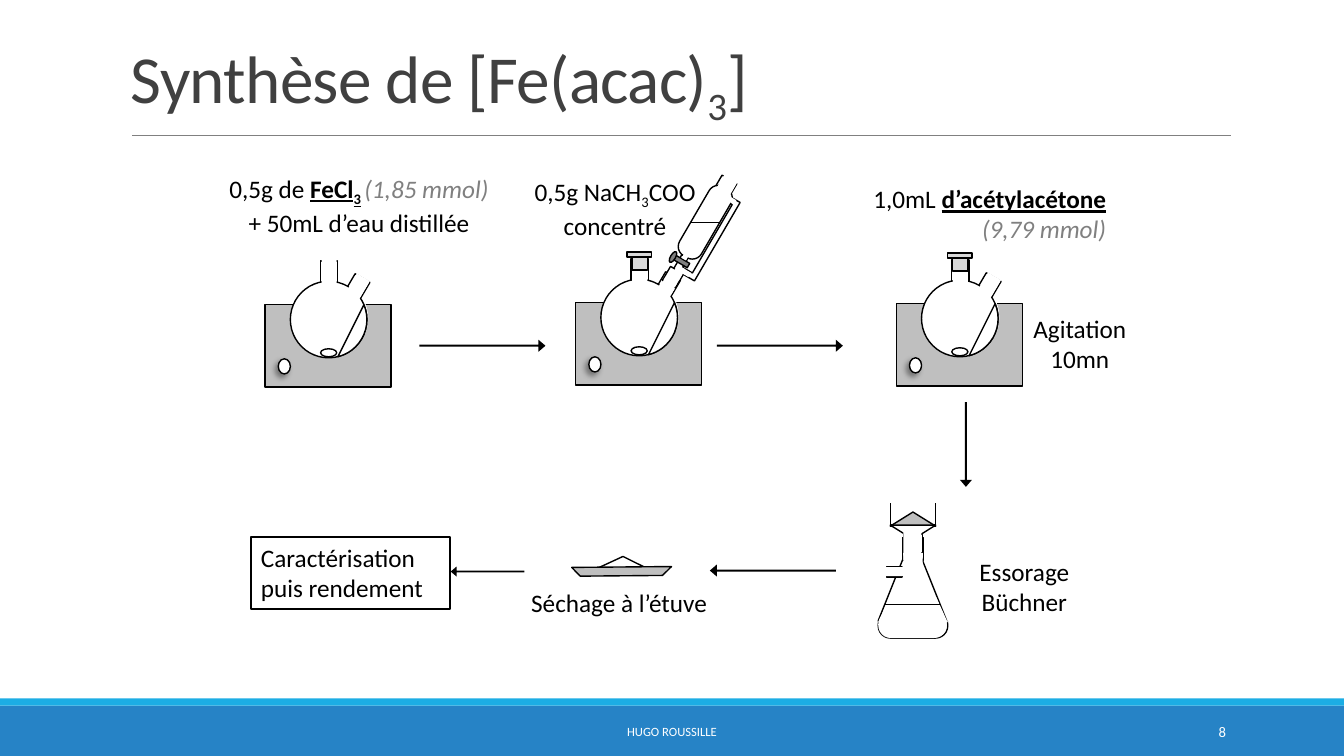
"""Build the slide on the synthesis of [Fe(acac)3]."""
from dataclasses import dataclass
from typing import Any

from lxml.etree import SubElement
from pptx import Presentation
from pptx.dml.color import RGBColor
from pptx.enum.shapes import MSO_CONNECTOR, MSO_SHAPE as Kind
from pptx.enum.text import MSO_ANCHOR as Anchor, MSO_AUTO_SIZE as Fit, PP_ALIGN as Align
from pptx.oxml.ns import qn
from pptx.util import Cm, Pt

COLORS = {
    "white": "FFFFFF", "black": "000000", "title": "404040", "grey": "808080",
    "silver": "BFBFBF", "light": "D9D9D9", "blue": "2683C6", "cyan": "1CADE4",
}
CM_PER_INCH = 2.54


@dataclass(frozen=True)
class Part:
    kind: Any
    left: float
    top: float
    width: float
    height: float
    fill: str = "white"
    line: str = "black"
    turn: float = 0
    adjust: tuple = ()
    weight: float = 1
    shadow: bool = False


@dataclass(frozen=True)
class Rule:
    start: tuple
    end: tuple
    color: str
    weight: float


@dataclass(frozen=True)
class Label:
    left: float
    top: float
    width: float
    height: float
    lines: tuple
    align: Any = Align.CENTER
    size: float = 18
    color: str = "black"
    anchor: Any = Anchor.TOP
    wrap: bool = False
    spacing: float = 1


FORMATS = {
    "plain": {},
    "sub": {"baseline": "-25000"},
    "key": {"bold": True, "underline": True},
    "key_sub": {"bold": True, "underline": True, "baseline": "-25000"},
    "note": {"italic": True, "color": "grey"},
    "title": {"spc": "-50"},
    "title_sub": {"spc": "-50", "baseline": "-25000"},
}
XML_FORMATS = ("baseline", "spc")

FOOTER_BARS = (
    Part(Kind.RECTANGLE, 0, 7, 13.33, 0.5, "blue", ""),
    Part(Kind.RECTANGLE, 0, 6.93, 13.33, 0.07, "cyan", ""),
)
BUCHNER = (
    Part(Kind.RECTANGLE, 8.95, 5.33, 0.21, 0.23),
    Part(Kind.ROUND_2_SAME_RECTANGLE, 8.71, 6.07, 0.69, 0.26, turn=180, adjust=(0.467, 0.5)),
    Part(Kind.RECTANGLE, 8.71, 6.06, 0.69, 0.1, line="white"),
    Part(Kind.ISOSCELES_TRIANGLE, 8.71, 5.31, 0.68, 0.85, ""),
    Part(Kind.RECTANGLE, 8.96, 5.19, 0.19, 0.47, line=""),
    Part(Kind.ROUND_2_SAME_RECTANGLE, 8.71, 6.06, 0.68, 0.27, line="", turn=180, adjust=(0.467, 0.5)),
    Part(Kind.TRAPEZOID, 8.72, 5.93, 0.67, 0.24, line="white", adjust=(0.455,)),
    Rule((8.78, 6), (9.33, 6), "black", 0.75),
    Part(Kind.RECTANGLE, 8.82, 5.6, 0.1, 0.15, turn=270),
    Part(Kind.RECTANGLE, 8.81, 5.52, 0.09, 0.3, line="", turn=270),
    Part(Kind.RECTANGLE, 8.83, 4.94, 0.45, 0.27),
    Part(Kind.ISOSCELES_TRIANGLE, 8.83, 5.08, 0.45, 0.14, "silver"),
    Part(Kind.RECTANGLE, 8.79, 4.88, 0.54, 0.1, line="white"),
    Part(Kind.ISOSCELES_TRIANGLE, 8.83, 5.21, 0.45, 0.14, turn=180),
    Part(Kind.RECTANGLE, 8.96, 5.3, 0.19, 0.18),
    Part(Kind.RECTANGLE, 8.96, 5.25, 0.18, 0.3, line=""),
)
FLASK_ORIGINS = ((2.63, 3.02), (5.71, 3), (8.89, 3.01))
FLASK = (
    Part(Kind.RECTANGLE, 0, 0, 1.25, 0.82, "silver"),
    Part(Kind.OVAL, 0.13, 0.54, 0.12, 0.15, shadow=True),
    Part(Kind.CHORD, 0.25, -0.24, 0.77, 0.76, "light", "white", 292.8, (16.2, 97.42)),
    Part(Kind.RECTANGLE, 0.81, -0.28, 0.17, 0.28, turn=30.4),
    Part(Kind.RECTANGLE, 0.55, -0.43, 0.17, 0.28),
    Part(Kind.OVAL, 0.25, -0.23, 0.76, 0.76),
    Part(Kind.RECTANGLE, 0.82, -0.29, 0.15, 0.31, line="", turn=30.4),
    Part(Kind.RECTANGLE, 0.56, -0.44, 0.15, 0.31, line=""),
    Part(Kind.CHORD, 0.25, -0.23, 0.76, 0.76, turn=292.7, adjust=(26.68, 85.93)),
    Part(Kind.OVAL, 0.55, 0.44, 0.16, 0.08),
)
STOPPER = (
    Part(Kind.RECTANGLE, 0.56, -0.45, 0.15, 0.13, "light"),
    Part(Kind.RECTANGLE, 0.51, -0.5, 0.24, 0.05, "light"),
)
FUNNEL = (
    Part(Kind.FRAME, 6.9, 1.89, 0.23, 0.9, turn=30.2, adjust=(0.25,)),
    Part(Kind.RECTANGLE, 7.11, 1.77, 0.17, 0.16, turn=30.2),
    Part(Kind.RECTANGLE, 6.72, 2.53, 0.07, 0.16, turn=30.2),
    Part(Kind.ROUNDED_RECTANGLE, 6.87, 1.81, 0.25, 0.79, turn=30.2, adjust=(0.419,)),
    Part(Kind.RECTANGLE, 6.6, 2.67, 0.15, 0.16, turn=30.2),
    Part(Kind.RECTANGLE, 6.68, 2.57, 0.16, 0.05, "grey", turn=30.2),
    Part(Kind.OVAL, 6.65, 2.49, 0.05, 0.12, "grey", turn=30.2),
    Part(Kind.RECTANGLE, 6.68, 2.64, 0.09, 0.13, line="", turn=30.2),
    Part(Kind.RECTANGLE, 6.56, 2.77, 0.13, 0.13, line="", turn=30.2),
    Part(Kind.RECTANGLE, 6.72, 2.67, 0.13, 0.05, line="", turn=30.2),
    Part(Kind.RECTANGLE, 7.17, 1.95, 0.13, 0.05, line="", turn=30.2),
    Part(Kind.RECTANGLE, 7.14, 1.76, 0.15, 0.14, line="", turn=30.2),
    Part(Kind.RECTANGLE, 6.75, 2.49, 0.13, 0.05, line="", turn=300.2),
    Rule((7.13, 2.21), (6.85, 2.21), "black", 0.75),
)
DRYING_DISH = (
    Part(Kind.ISOSCELES_TRIANGLE, 5.92, 5.52, 0.5, 0.12, adjust=(0.519,)),
    Part(Kind.DIAGONAL_STRIPE, 5.82, 5.27, 0.69, 0.71, "silver", turn=225.3, adjust=(0.824,)),
)
ARROWS = tuple(
    Part(Kind.RIGHT_ARROW, left, top, width, height, "black", "", turn, (0.167, 0.583))
    for left, top, width, height, turn in (
        (4.16, 3.37, 1.25, 0.12, 0), (7.11, 3.37, 1.25, 0.12, 0), (9.16, 4.35, 0.84, 0.12, 90),
        (7.04, 5.6, 1.25, 0.12, 180), (4.47, 5.62, 0.73, 0.1, 180))
)
RESULT_FRAME = (Part(Kind.RECTANGLE, 2.49, 5.33, 1.97, 0.71, weight=1.25),)
LABELS = (
    Label(1.2, 0.31, 11, 0.92,
          ((("Synthèse de [Fe(acac)", "title"), ("3", "title_sub"), ("]", "title")),),
          Align.LEFT, 48, "title", Anchor.BOTTOM, True, 0.85),
    Label(4.03, 7.06, 5.27, 0.4, ((("HUGO ROUSSILLE", "plain"),),),
          Align.CENTER, 9, "white", Anchor.MIDDLE, True),
    Label(10.83, 7.06, 1.43, 0.4, ((("8", "plain"),),),
          Align.RIGHT, 10.5, "white", Anchor.MIDDLE, True),
    Label(2.15, 1.67, 2.82, 0.71,
          ((("0,5g de ", "plain"), ("FeCl", "key"), ("3", "key_sub"), (" ", "sub"),
            ("(1,85 mmol)", "note")), (("+ 50mL d’eau distillée", "plain"),))),
    Label(5.16, 1.7, 1.88, 0.71,
          ((("0,5g NaCH", "plain"), ("3", "sub"), ("COO", "plain")), (("concentré", "plain"),))),
    Label(8.52, 1.77, 2.55, 0.71,
          ((("1,0mL ", "plain"), ("d’acétylacétone", "key")), (("(9,79 mmol)", "note"),)), Align.RIGHT),
    Label(10.14, 3.06, 1.14, 0.71, ((("Agitation", "plain"),), (("10mn", "plain"),))),
    Label(9.61, 5.47, 1.1, 0.71, ((("Essorage", "plain"),), (("Büchner", "plain"),))),
    Label(5.17, 5.78, 1.99, 0.4, ((("Séchage à l’étuve", "plain"),),), Align.LEFT),
    Label(2.49, 5.33, 1.97, 0.71, ((("Caractérisation puis rendement", "plain"),),), Align.LEFT, wrap=True),
)


def length(inches: float) -> Cm:
    return Cm(inches * CM_PER_INCH)


def rgb(name: str) -> RGBColor:
    return RGBColor.from_string(COLORS[name])


def add_shadow(shape: Any) -> None:
    effects = shape._element.spPr.find(qn("a:effectLst"))
    outer = SubElement(effects, qn("a:outerShdw"), blurRad="50800", dist="38100", dir="8100000")
    color = SubElement(outer, qn("a:srgbClr"), val=COLORS["black"])
    SubElement(color, qn("a:alpha"), val="40000")


def draw_rule(page: Any, rule: Rule) -> None:
    ends = [length(value) for value in (*rule.start, *rule.end)]
    connector = page.shapes.add_connector(MSO_CONNECTOR.STRAIGHT, *ends)
    connector.line.color.rgb = rgb(rule.color)
    connector.line.width = Pt(rule.weight)
    SubElement(connector._element.spPr, qn("a:effectLst"))


def draw_part(page: Any, part: Part, origin: tuple) -> None:
    frame = (part.left + origin[0], part.top + origin[1], part.width, part.height)
    shape = page.shapes.add_shape(part.kind, *map(length, frame))
    shape.shadow.inherit = False
    shape.rotation = part.turn
    for index, value in enumerate(part.adjust):
        shape.adjustments[index] = value
    for target, name in ((shape.fill, part.fill), (shape.line.fill, part.line)):
        if name:
            target.solid()
            target.fore_color.rgb = rgb(name)
        else:
            target.background()
    if part.line:
        shape.line.width = Pt(part.weight)
    if part.shadow:
        add_shadow(shape)


def draw_all(page: Any, items: tuple, origin: tuple = (0, 0)) -> None:
    for item in items:
        if isinstance(item, Rule):
            draw_rule(page, item)
        else:
            draw_part(page, item, origin)


def write_label(page: Any, label: Label) -> None:
    frame = (label.left, label.top, label.width, label.height)
    box = page.shapes.add_textbox(*map(length, frame)).text_frame
    settings = {"word_wrap": label.wrap, "vertical_anchor": label.anchor,
                "auto_size": Fit.NONE if label.wrap else Fit.SHAPE_TO_FIT_TEXT}
    for name, value in settings.items():
        setattr(box, name, value)
    for index, line in enumerate(label.lines):
        para = box.add_paragraph() if index else box.paragraphs[0]
        para.alignment, para.line_spacing = label.align, label.spacing
        for text, style in line:
            span = para.add_run()
            span.text = text
            values = {"name": "Calibri", "size": Pt(label.size), "color": label.color, **FORMATS[style]}
            for name, value in values.items():
                if name == "color":
                    span.font.color.rgb = rgb(value)
                elif name in XML_FORMATS:
                    span._r.get_or_add_rPr().set(name, value)
                else:
                    setattr(span.font, name, value)


def main() -> None:
    deck = Presentation()
    deck.slide_width, deck.slide_height = length(13.33), length(7.5)
    page = deck.slides.add_slide(deck.slide_layouts[6])
    draw_all(page, FOOTER_BARS)
    draw_rule(page, Rule((1.31, 1.34), (12.21, 1.34), "grey", 0.5))
    draw_all(page, BUCHNER)
    for index, origin in enumerate(FLASK_ORIGINS):
        draw_all(page, FLASK + (STOPPER if index else ()), origin)
    for group in (FUNNEL, DRYING_DISH, ARROWS, RESULT_FRAME):
        draw_all(page, group)
    for label in LABELS:
        write_label(page, label)
    deck.save("out.pptx")


if __name__ == "__main__":
    main()
